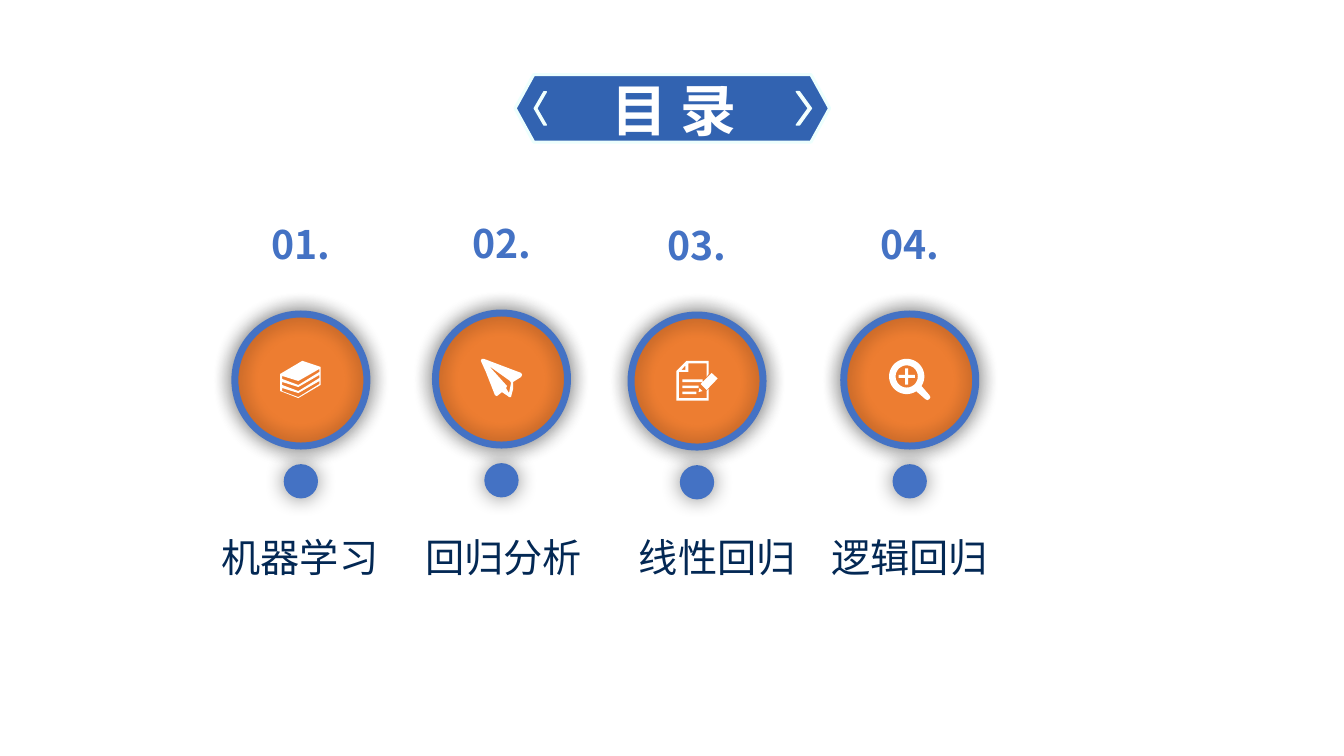
from dataclasses import dataclass
from math import cos, radians, sin

from lxml.etree import SubElement
from pptx import Presentation
from pptx.dml.color import RGBColor
from pptx.enum.shapes import MSO_SHAPE as Kind
from pptx.enum.text import MSO_ANCHOR as Anchor, MSO_AUTO_SIZE as Fit, PP_ALIGN as Align
from pptx.oxml.ns import qn
from pptx.util import Emu, Pt

CELL = 91440  # one grid cell: a tenth of an inch
FONT = "Noto Sans CJK SC"
BLUE, ORANGE, WHITE = "4472C4", "ED7D31", "FFFFFF"
NAVY, BANNER, EDGE = "032854", "3263B1", "EDFFFD"

Points = list[tuple[float, float]]


@dataclass
class Box:
    col: float
    row: float
    cols: float
    rows: float

    def emu(self) -> list[Emu]:
        return [grid(n) for n in (self.col, self.row, self.cols, self.rows)]


@dataclass
class Stop:
    """One entry of the contents: its middle column, drop in rows and icon."""
    num: str
    label: str
    mid: float
    drop: float
    label_mid: float
    icon_row: float
    icon: list[Points]


def grid(cells: float) -> Emu:
    return Emu(round(cells * CELL))


def color(code: str) -> RGBColor:
    return RGBColor.from_string(code)


def apply(target, values: dict) -> None:
    for name, value in values.items():
        setattr(target, name, value)


def glow(shape) -> None:
    """Add a soft black shadow on all sides."""
    effects = SubElement(shape.element.spPr, qn("a:effectLst"))
    shadow = SubElement(effects, qn("a:outerShdw"), blurRad=str(Pt(15)), dist="0", dir="0",
                        algn="ctr", rotWithShape="0")
    black = SubElement(shadow, qn("a:srgbClr"), val="000000")
    SubElement(black, qn("a:alpha"), val="45000")


def paint(shape, fill: str = "", line: str = "", width: float = 0, soft: bool = False) -> None:
    if fill:
        shape.fill.solid()
        shape.fill.fore_color.rgb = color(fill)
    else:
        shape.fill.background()
    if line:
        shape.line.color.rgb = color(line)
        shape.line.width = Pt(width)
    else:
        shape.line.fill.background()
    if soft:
        glow(shape)
    else:
        shape.shadow.inherit = False


def write(shape, text: str, size: float, code: str, bold: bool, frame: dict) -> None:
    body = shape.text_frame
    apply(body, {"auto_size": Fit.NONE, "word_wrap": True} | frame)
    para = body.paragraphs[0]
    apply(para, {"alignment": Align.CENTER, "line_spacing": 1.0})
    run = para.add_run()
    run.text = text
    apply(run.font, {"name": FONT, "size": Pt(size), "bold": bold})
    run.font.color.rgb = color(code)
    SubElement(run.font._element, qn("a:ea"), typeface=FONT)


def disc(shapes, mid: float, row: float, size: float, **style) -> None:
    """Draw a circle centred on a column and a row."""
    box = Box(mid - size / 2, row - size / 2, size, size)
    paint(shapes.add_shape(Kind.OVAL, *box.emu()), soft=True, **style)


def trace(shapes, rings: list[Points], col: float, row: float) -> None:
    """Draw closed outlines, in hundredths of an inch, as one white shape."""
    fine = [[(x * 10, y * 10) for x, y in ring] for ring in rings]
    pen = shapes.build_freeform(*fine[0][0], scale=CELL / 100)
    for turn, ring in enumerate(fine):
        if turn:
            pen.move_to(*ring[0])
        pen.add_line_segments(ring[1:], close=True)
    paint(pen.convert_to_shape(grid(col), grid(row)), fill=WHITE)


def arc(x: float, y: float, size: float, first: int, last: int) -> Points:
    return [(x + size * cos(radians(a)), y + size * sin(radians(a)))
            for a in range(first, last + 1, 6)]


def rect(x: float, y: float, right: float, foot: float) -> Points:
    return [(x, y), (right, y), (right, foot), (x, foot)]


def books() -> list[Points]:
    stack = [(0, 13), (22, 0), (40, 6), (40, 24), (18, 37), (0, 30)]
    page = [(2, 15), (18, 20), (39, 8), (39, 11), (18, 24), (2, 18)]
    return [stack] + [[(x, y + 6 * n) for x, y in page] for n in range(3)]


def plane() -> list[Points]:
    wing = [(40, 14), (3, 0), (1, 0), (0, 2), (5, 13), (14, 36), (16, 37), (21, 33),
            (27, 37), (28, 38), (30, 38), (32, 30), (32, 23), (40, 18), (41, 16)]
    fold = [(29, 29), (28, 34), (25, 29), (26, 27), (8, 7), (15, 12), (29, 22), (30, 24)]
    return [wing, fold]


def note() -> list[Points]:
    sheet = [(30, 30), (32, 28), (32, 39.5), (0, 39.5), (0, 10), (10, 0), (32, 0), (32, 13),
             (30, 16), (30, 2.5), (12, 2.5), (12, 11), (2.5, 11), (2.5, 37), (30, 37)]
    pencil = [(24, 23), (35, 12), (41, 17.5), (30, 29)]
    tip = [(23, 27), (22, 31), (26, 30)]
    fold = [(5, 9), (9, 9), (9, 4.5)]
    lines = [rect(6, 18.5 + 6 * n, end, 21 + 6 * n) for n, end in enumerate((26, 22, 20))]
    return [sheet, pencil, tip, fold, *lines]


def lens() -> list[Points]:
    mid, arm, half = 17.5, 8, 1.5
    handle = [(40, 36), (41, 38), (40, 40), (38, 41), (36, 40)]
    near, far = (mid - half, mid + half), (mid - arm, mid + arm)
    plus = [(near[0], far[0]), (near[1], far[0]), (near[1], near[0]), (far[1], near[0]),
            (far[1], near[1]), (near[1], near[1]), (near[1], far[1]), (near[0], far[1]),
            (near[0], near[1]), (far[0], near[1]), (far[0], near[0]), (near[0], near[0])]
    return [arc(mid, mid, 17.5, 57, 393) + handle, arc(mid, mid, 11, 0, 354), plus]


STOPS = [
    Stop("01.", "机器学习", 29.85, 0.1, 29.75, 35.8, books()),
    Stop("02.", "回归分析", 49.75, 0, 49.95, 35.6, plane()),
    Stop("03.", "线性回归", 69.15, 0.2, 71.15, 35.8, note()),
    Stop("04.", "逻辑回归", 90.25, 0.1, 90.25, 35.6, lens()),
]


def draw_stop(slide, stop: Stop) -> None:
    shapes = slide.shapes.add_group_shape().shapes
    mid, drop = stop.mid, stop.drop
    disc(shapes, mid, 37.55 + drop, 13.5, fill=ORANGE)
    disc(shapes, mid, 47.65 + drop, 3.4, fill=BLUE)
    disc(shapes, mid, 37.6 + drop, 13.1, line=BLUE, width=5)
    trace(shapes, stop.icon, mid - 2.05, stop.icon_row)
    num = shapes.add_textbox(*Box(mid - 5.85, 21.25 + drop, 11.7, 5.7).emu())
    write(num, stop.num, 28, BLUE, True, {})
    label = shapes.add_textbox(*Box(stop.label_mid - 7.85, 52.9, 15.7, 4.7).emu())
    bare = dict.fromkeys(("margin_left", "margin_top", "margin_right", "margin_bottom"), 0)
    write(label, stop.label, 28, NAVY, False,
          bare | {"word_wrap": False, "vertical_anchor": Anchor.MIDDLE})


def draw_title(slide) -> None:
    shapes = slide.shapes.add_group_shape().shapes
    plate = shapes.add_shape(Kind.HEXAGON, *Box(51.1, 7.4, 31.2, 6.7).emu())
    plate.adjustments[0] = 0.276
    paint(plate, BANNER, EDGE, 2.25)
    for col, cols, turn in ((53, 1.2, 180), (79, 1.5, 0)):
        mark = shapes.add_shape(Kind.CHEVRON, *Box(col, 9.1, cols, 3.3).emu())
        mark.adjustments[0] = 0.794
        mark.rotation = turn
        paint(mark, WHITE, EDGE, 1)
    title = slide.shapes.title
    apply(title, dict(zip(("left", "top", "width", "height"), Box(56.4, 7, 20.9, 7.7).emu())))
    write(title, "目 录", 40, WHITE, True, {"vertical_anchor": Anchor.MIDDLE})
    slide.shapes.element.append(title.element)  # bring the title in front of its plate


def main() -> None:
    deck = Presentation()
    apply(deck, {"slide_width": grid(133.33), "slide_height": grid(75)})
    slide = deck.slides.add_slide(deck.slide_layouts[5])
    for stop in STOPS:
        draw_stop(slide, stop)
    draw_title(slide)
    deck.save("out.pptx")


if __name__ == "__main__":
    main()
